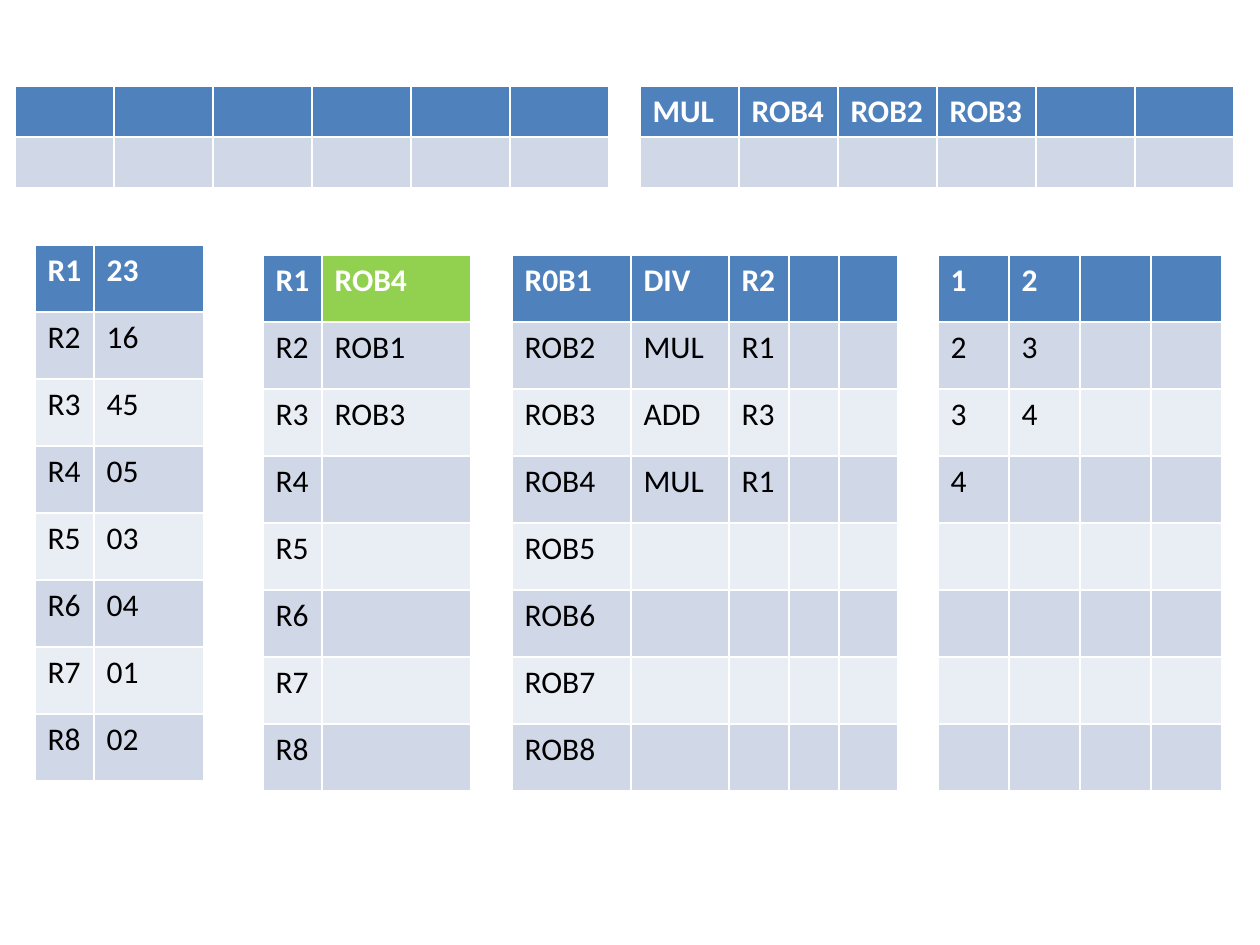
"""Build a slide showing the state of an out-of-order processor."""
from pptx import Presentation, util as u
from pptx.dml.color import RGBColor

PX = u.Inches(1) / 126
HEADER, BANDS, MARKED = "4F81BD", ("E9EDF4", "D0D8E8"), "92D050"


def px(length):
    """Turn pixels into EMU."""
    return u.Emu(round(length * PX))


def colour(value):
    """Turn a hex string into a colour."""
    return RGBColor.from_string(value)


def fill_cell(cell, value, fill, style):
    """Fill one cell and write its value, if it has one."""
    cell.fill.solid()
    cell.fill.fore_color.rgb = colour(fill)
    if value:
        span = cell.text_frame.paragraphs[0].add_run()
        span.text = value
        for name, setting in style.items():
            setattr(span.font, name, setting)
        span.font.color.rgb = colour("FFFFFF" if style["bold"] else "000000")


def draw_table(page, left, top, widths, row_height, rows, marked=()):
    """Draw a banded table with a header row at a given corner."""
    box = page.shapes.add_table(len(rows), len(widths), px(left), px(top),
                                px(sum(widths)), px(row_height * len(rows)))
    table = box.table
    for column, width in zip(table.columns, widths):
        column.width = px(width)
    for r, values in enumerate(rows):
        table.rows[r].height = px(row_height)
        style = {"name": "Calibri", "size": u.Pt(18), "bold": r == 0}
        for c in range(len(widths)):
            fill = HEADER if r == 0 else BANDS[r % 2]
            fill_cell(table.cell(r, c), values[c] if c < len(values) else "",
                      MARKED if (r, c) in marked else fill, style)


def draw_stations(page, left, top):
    """Draw the two reservation stations side by side."""
    for i, entry in enumerate(([], ["MUL", "ROB4", "ROB2", "ROB3"])):
        draw_table(page, left + 625 * i, top, [99] * 6, 51, [entry, []])


def draw_registers(page, left, top):
    """Draw the register file and, beside it, the alias table."""
    names = [f"R{n}" for n in range(1, 9)]
    values = ["23", "16", "45", "05", "03", "04", "01", "02"]
    aliases = ["ROB4", "ROB1", "ROB3"] + [""] * 5
    draw_table(page, left, top, [59, 110], 67, list(zip(names, values)))
    draw_table(page, left + 228, top + 10, [59, 149], 67,
               list(zip(names, aliases)), marked=[(0, 1)])


def draw_reorder_buffer(page, left, top):
    """Draw the reorder buffer with its pending instructions."""
    rows = [["R0B1", "DIV", "R2"], ["ROB2", "MUL", "R1"],
            ["ROB3", "ADD", "R3"], ["ROB4", "MUL", "R1"]]
    rows += [[f"ROB{n}"] for n in range(5, 9)]
    draw_table(page, left, top, [119, 98, 60, 50, 59], 67, rows)


def draw_timing(page, left, top):
    """Draw the table of cycle numbers."""
    rows = [["1", "2"], ["2", "3"], ["3", "4"], ["4"]] + [[]] * 4
    draw_table(page, left, top, [71] * 4, 67, rows)


def main():
    """Build the slide and save it."""
    deck = Presentation()
    deck.slide_width, deck.slide_height = px(1260), px(945)
    page = deck.slides.add_slide(deck.slide_layouts[6])
    draw_stations(page, 15, 86)
    draw_registers(page, 35, 245)
    draw_reorder_buffer(page, 512, 255)
    draw_timing(page, 938, 255)
    deck.save("out.pptx")


if __name__ == "__main__":
    main()
